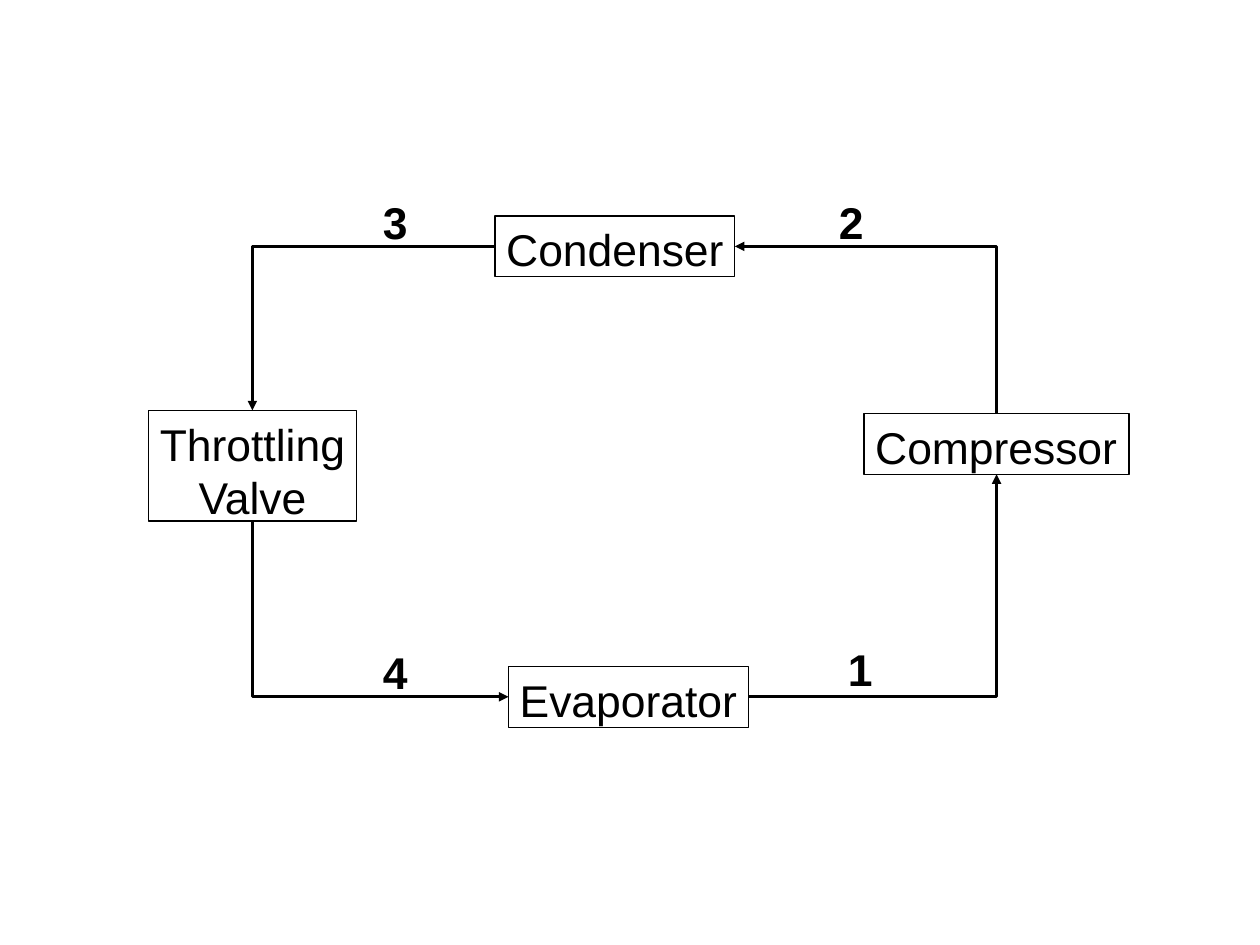
import pptx
import pptx.dml.color
import pptx.enum.dml
import pptx.enum.shapes
import pptx.enum.text
import pptx.oxml
import pptx.util
from pptx.util import Cm, Pt

BLACK = pptx.dml.color.RGBColor(0, 0, 0)
FONT = "Arial"
FONT_SIZE = Pt(28)
LINE_PITCH = Pt(34)
LINE_HEIGHT = 1.35
LABEL_WIDTH = 1.04
TOP, LEFT, BOTTOM, RIGHT = range(4)
QUARTER_TURN_BACK = "16200000"

COMPONENTS = {
    "Compressor": (19.2, 9.19, 5.89, LINE_HEIGHT),
    "Evaporator": (11.3, 14.81, 5.33, LINE_HEIGHT),
    "Condenser": (11, 4.8, 5.33, LINE_HEIGHT),
    "Throttling\nValve": (3.3, 9.12, 4.62, 2.46),
}
FLOWS = [
    ("Compressor", TOP, "Condenser", RIGHT),
    ("Condenser", LEFT, "Throttling\nValve", TOP),
    ("Throttling\nValve", BOTTOM, "Evaporator", LEFT),
    ("Evaporator", RIGHT, "Compressor", BOTTOM),
]
STATE_POINTS = [
    ("4", 8.26, 14.2),
    ("1", 18.59, 14.12),
    ("2", 18.39, 4.19),
    ("3", 8.26, 4.19),
]


def write_text(shape, text, alignment, bold=False):
    frame = shape.text_frame
    frame.text = text
    frame.word_wrap = False
    frame.auto_size = pptx.enum.text.MSO_AUTO_SIZE.NONE
    frame.vertical_anchor = pptx.enum.text.MSO_ANCHOR.TOP
    for paragraph in frame.paragraphs:
        paragraph.alignment = alignment
        paragraph.line_spacing = LINE_PITCH
        for run in paragraph.runs:
            run.font.name = FONT
            run.font.size = FONT_SIZE
            run.font.bold = bold
            run.font.color.rgb = BLACK


def set_line(line):
    line.color.rgb = BLACK
    line.width = Pt(0)


def add_component(slide, name, place):
    shape = slide.shapes.add_shape(
        pptx.enum.shapes.MSO_SHAPE.RECTANGLE, *map(Cm, place))
    shape.shadow.inherit = False
    shape.fill.background()
    set_line(shape.line)
    align = pptx.enum.text.PP_ALIGN
    write_text(shape, name, align.CENTER if "\n" in name else align.LEFT)
    return shape


def turn_to_leave_vertically(connector):
    begin_x, begin_y = connector.begin_x, connector.begin_y
    end_x, end_y = connector.end_x, connector.end_y
    center_x, center_y = (begin_x + end_x) // 2, (begin_y + end_y) // 2
    connector.begin_x = center_x - (begin_y - center_y)
    connector.end_x = center_x - (end_y - center_y)
    connector.begin_y = center_y + (begin_x - center_x)
    connector.end_y = center_y + (end_x - center_x)
    connector._element.spPr.find(pptx.oxml.ns.qn("a:xfrm")).set(
        "rot", QUARTER_TURN_BACK)


def add_flow(slide, source, source_side, target, target_side):
    connector = slide.shapes.add_connector(
        pptx.enum.shapes.MSO_CONNECTOR.ELBOW, 0, 0, 0, 0)
    connector.begin_connect(source, source_side)
    connector.end_connect(target, target_side)
    if source_side in (TOP, BOTTOM):
        turn_to_leave_vertically(connector)
    set_line(connector.line)
    properties = connector._element.spPr
    qn = pptx.oxml.ns.qn
    properties.find(qn("a:prstGeom")).set("prst", "bentConnector2")
    arrow = pptx.oxml.xmlchemy.OxmlElement("a:tailEnd")
    arrow.set("type", "triangle")
    properties.find(qn("a:ln")).append(arrow)
    properties.append(pptx.oxml.xmlchemy.OxmlElement("a:effectLst"))


def main():
    presentation = pptx.Presentation()
    presentation.slide_width, presentation.slide_height = Cm(28), Cm(21)
    slide = presentation.slides.add_slide(presentation.slide_layouts[6])
    components = {name: add_component(slide, name, place)
                  for name, place in COMPONENTS.items()}
    for source, source_side, target, target_side in FLOWS:
        add_flow(slide, components[source], source_side,
                 components[target], target_side)
    for number, left, top in STATE_POINTS:
        label = slide.shapes.add_textbox(
            Cm(left), Cm(top), Cm(LABEL_WIDTH), Cm(LINE_HEIGHT))
        write_text(label, number, pptx.enum.text.PP_ALIGN.LEFT, bold=True)
    presentation.save("out.pptx")


if __name__ == "__main__":
    main()
